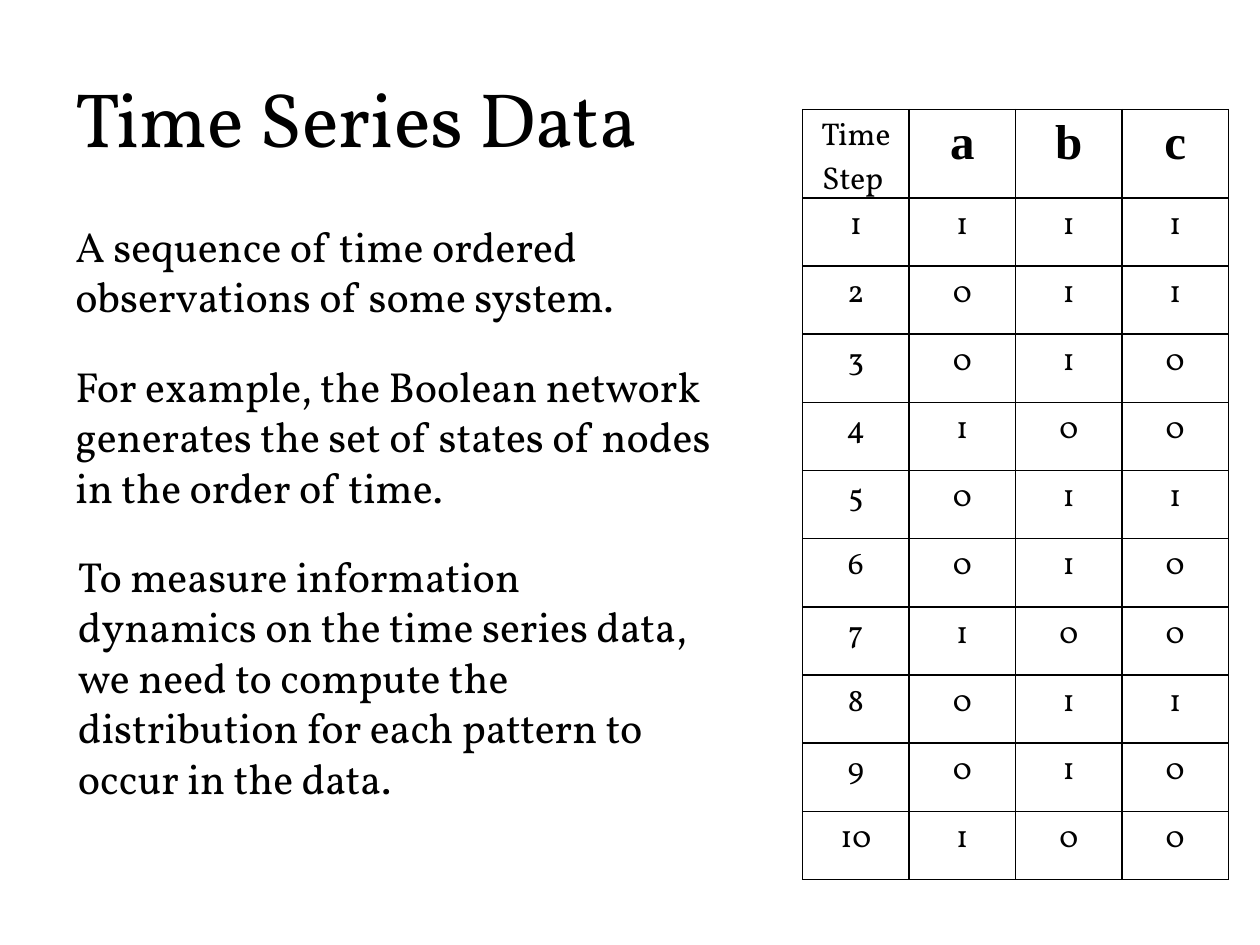
from dataclasses import dataclass

from lxml import etree
from pptx import Presentation
from pptx.dml.color import RGBColor
from pptx.enum import text
from pptx.oxml import ns
from pptx.util import Pt


@dataclass(frozen=True)
class Theme:
    ink: str = "000000"
    font: str = "Vollkorn"
    head_font: str = "Times New Roman"
    title: float = 44
    body: float = 24
    cell: float = 18
    head: float = 28
    border: float = 1


THEME = Theme()
NOTES = [
    (36, 122.4, 422.64, 65.52, "A sequence of time ordered observations of some system."),
    (36, 202.32, 380.88, 94.32,
     "For example, the Boolean network generates the set of states of nodes "
     "in the order of time."),
    (37.44, 311.04, 366.48, 152.64,
     "To measure information dynamics on the time series data, we need to "
     "compute the distribution for each pattern to occur in the data."),
]
NODES = "abc"
STATES = ["111", "011", "010", "100", "011", "010", "100", "011", "010", "100"]


def write(tf, content, size=THEME.body, font=THEME.font, bold=False, align=None):
    p = tf.paragraphs[0]
    p.alignment = align
    r = p.add_run()
    r.text = content
    r.font.size = Pt(size)
    r.font.name = font
    r.font.bold = bold
    r.font.color.rgb = RGBColor.from_string(THEME.ink)


def add_text(s, x, y, w, h, content, anchor=text.MSO_ANCHOR.TOP,
             fit=text.MSO_AUTO_SIZE.SHAPE_TO_FIT_TEXT, **style):
    sp = s.shapes.add_textbox(Pt(x), Pt(y), Pt(w), Pt(h))
    tf = sp.text_frame
    tf.word_wrap = True
    tf.auto_size = fit
    tf.vertical_anchor = anchor
    write(tf, content, **style)


def add_borders(cell):
    tc_pr = cell._tc.get_or_add_tcPr()
    for side in ("lnL", "lnR", "lnT", "lnB"):
        ln = etree.SubElement(tc_pr, ns.qn(f"a:{side}"), w=str(Pt(THEME.border)))
        fill = etree.SubElement(ln, ns.qn("a:solidFill"))
        etree.SubElement(fill, ns.qn("a:srgbClr"), val=THEME.ink)


def add_state_table(s, x, y, col_w, row_h):
    rows = [["Time Step ", *NODES]]
    rows += [[str(step), *state] for step, state in enumerate(STATES, 1)]
    n_rows, n_cols = len(rows), len(rows[0])
    table = s.shapes.add_table(n_rows, n_cols, Pt(x), Pt(y),
                               Pt(col_w * n_cols), Pt(row_h * n_rows)).table
    table.first_row = False
    table.horz_banding = False
    for i, row in enumerate(rows):
        for j, value in enumerate(row):
            cell = table.cell(i, j)
            add_borders(cell)
            cell.fill.background()
            style = {"size": THEME.cell}
            if i == 0 and j > 0:
                style = {"size": THEME.head, "font": THEME.head_font, "bold": True}
            write(cell.text_frame, value, align=text.PP_ALIGN.CENTER, **style)


def main():
    prs = Presentation()
    prs.slide_width, prs.slide_height = Pt(720), Pt(540)
    s = prs.slides.add_slide(prs.slide_layouts[6])
    for note in NOTES:
        add_text(s, *note)
    add_state_table(s, 458.64, 62.64, col_w=60.84, row_h=38.95)
    add_text(s, 36, 21.6, 648, 90, "Time Series Data", size=THEME.title,
             anchor=text.MSO_ANCHOR.MIDDLE, fit=text.MSO_AUTO_SIZE.NONE)
    prs.save("out.pptx")


if __name__ == "__main__":
    main()
